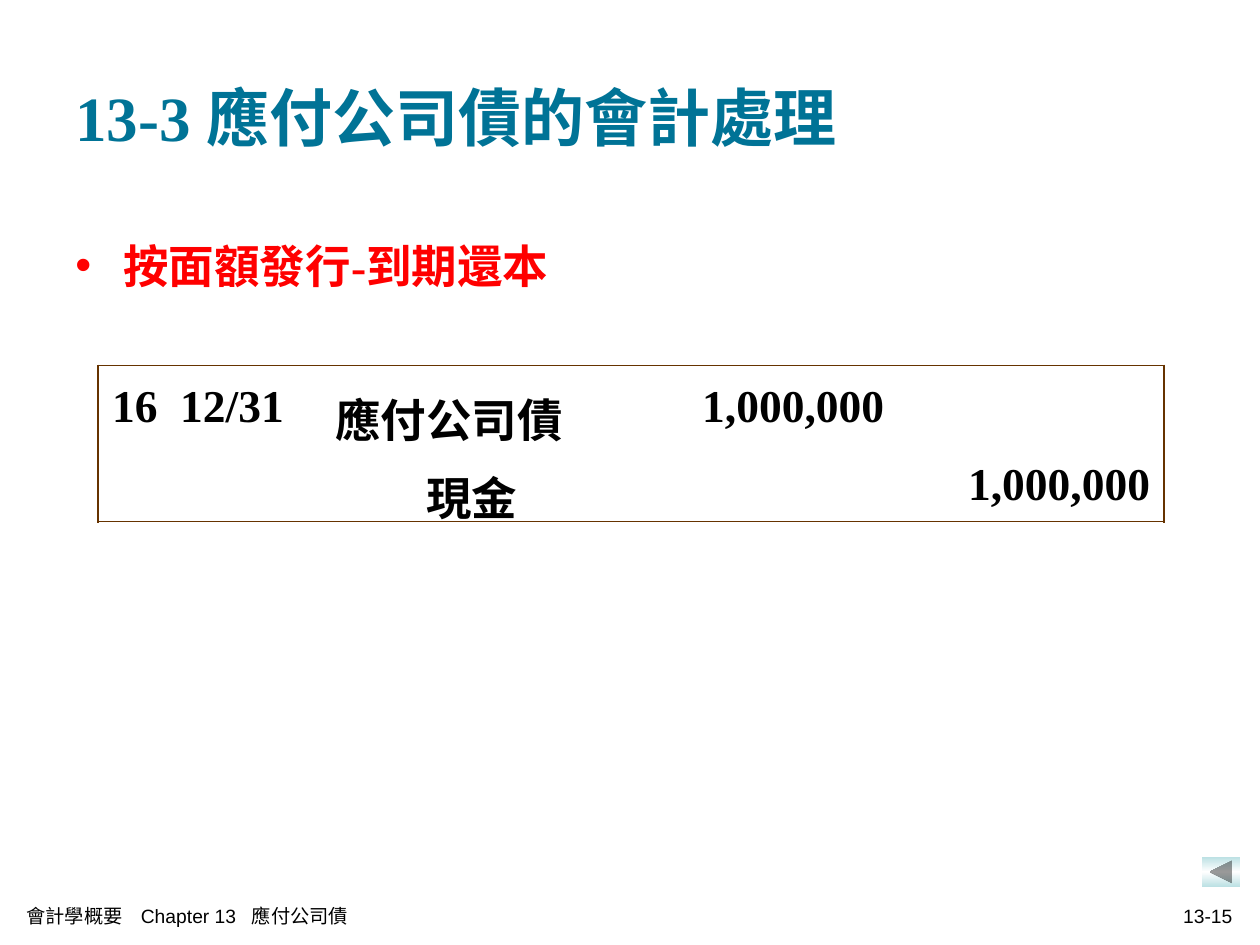
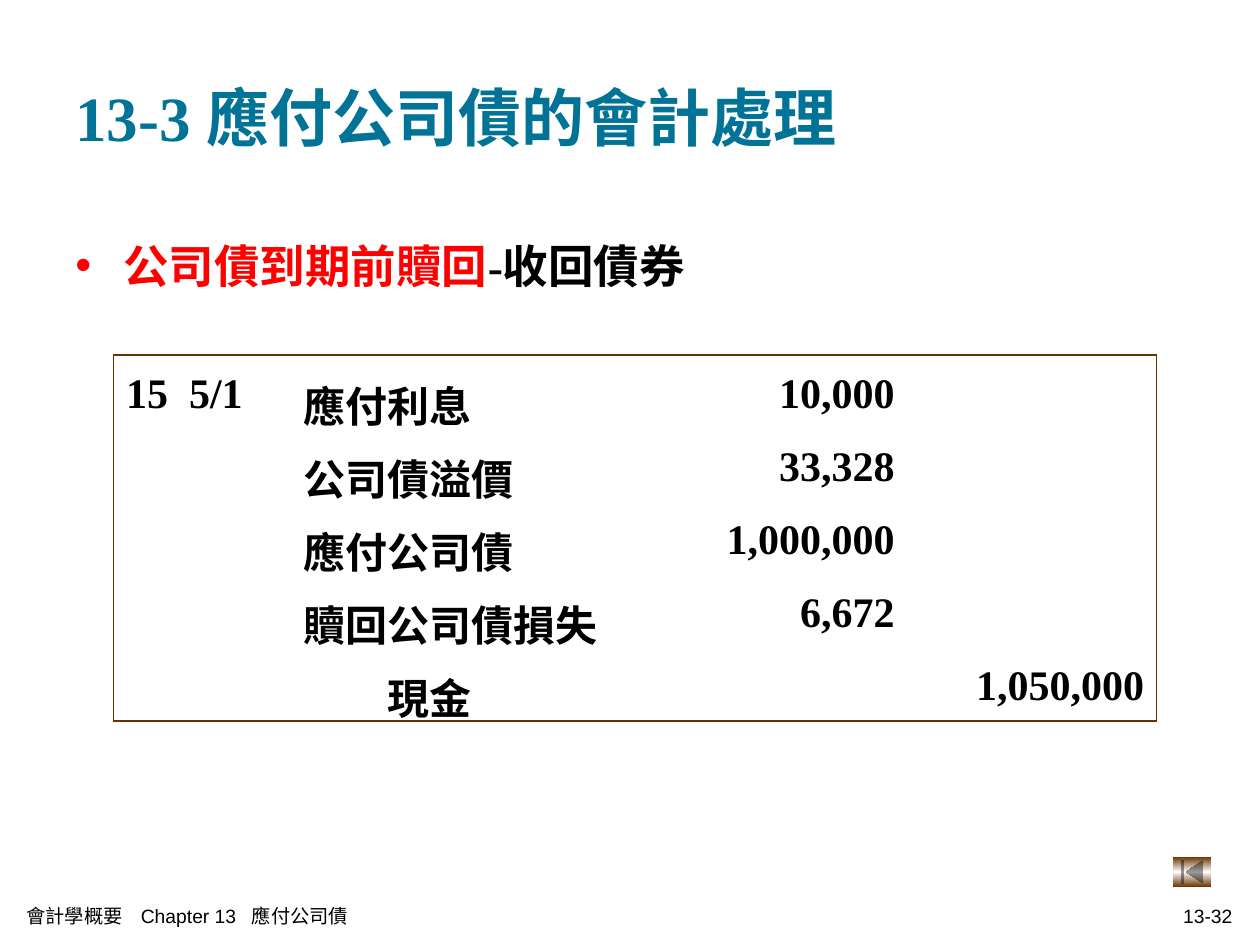
import copy

import pptx
import pptx.chart.data
import pptx.dml.color
import pptx.enum.shapes
import pptx.enum.text
import pptx.oxml
import pptx.oxml.ns
import pptx.util

Inches = pptx.util.Inches
Pt = pptx.util.Pt
RGBColor = pptx.dml.color.RGBColor
MSO_SHAPE = pptx.enum.shapes.MSO_SHAPE
PP_ALIGN = pptx.enum.text.PP_ALIGN
MSO_ANCHOR = pptx.enum.text.MSO_ANCHOR
qn = pptx.oxml.ns.qn

BLACK = RGBColor(0x00, 0x00, 0x00)
WHITE = RGBColor(0xFF, 0xFF, 0xFF)
RED = RGBColor(0xFF, 0x00, 0x00)
TEAL = RGBColor(0x00, 0x73, 0x96)
PALE_TEAL = RGBColor(0xBB, 0xE0, 0xE3)
BROWN = RGBColor(0x66, 0x33, 0x00)

SERIF = "Times New Roman"
SANS = "Arial"
PLAIN_TABLE_STYLE = "{2D5ABB26-0587-4C30-8999-92F81FD0307C}"
CHAPTER_TITLE = "13-3 應付公司債的會計處理"
CHAPTER_FOOTER = "會計學概要\tChapter 13\t應付公司債"


class ChapterDeck:
    """Holds the chapter style and the slide being built."""

    def __init__(self):
        self.presentation = pptx.Presentation()
        self.presentation.slide_width = Inches(10)
        self.presentation.slide_height = Inches(7.5)
        self.slide = None

    def start_slide(self, page):
        self.slide = self.presentation.slides.add_slide(self.presentation.slide_layouts[6])
        title = self.text_box(0.5, 0.3, 9, 1.25, MSO_ANCHOR.MIDDLE)
        title.text = CHAPTER_TITLE
        self.format_runs(title, 36, TEAL, SERIF, True)
        footer = self.text_box(0.11, 7.1, 5.1, 0.33, MSO_ANCHOR.MIDDLE)
        footer.text = CHAPTER_FOOTER
        self.set_tabs(footer, 0.91, 1.79)
        self.format_runs(footer, 11, BLACK, SANS)
        number = self.text_box(6.78, 7.1, 3.1, 0.33, MSO_ANCHOR.MIDDLE)
        number.text = page
        number.alignment = PP_ALIGN.RIGHT
        self.format_runs(number, 11, BLACK, SANS)

    def text_box(self, left, top, width, height, anchor=MSO_ANCHOR.TOP):
        box = self.slide.shapes.add_textbox(
            Inches(left), Inches(top), Inches(width), Inches(height)
        )
        box.text_frame.word_wrap = True
        box.text_frame.vertical_anchor = anchor
        return box.text_frame.paragraphs[0]

    def format_runs(self, paragraph, size, color, font, bold=False):
        for run in paragraph.runs:
            run.font.size = Pt(size)
            run.font.name = font
            run.font.bold = bold
            run.font.color.rgb = color

    def add_property(self, parent, tag, **attributes):
        element = pptx.oxml.parse_xml(f'<{tag} {pptx.oxml.ns.nsdecls("a")}/>')
        for key, value in attributes.items():
            element.set(key, str(value))
        parent.append(element)
        return element

    def set_tabs(self, paragraph, *stops):
        tabs = self.add_property(paragraph._p.get_or_add_pPr(), "a:tabLst")
        for stop in stops:
            self.add_property(tabs, "a:tab", pos=Inches(stop), algn="l")

    def heading(self, *parts):
        paragraph = self.text_box(0.5, 1.75, 9, 4.95)
        paragraph.line_spacing = 1.2
        properties = paragraph._p.get_or_add_pPr()
        properties.set("marL", str(Inches(0.38)))
        properties.set("indent", str(-Inches(0.38)))
        bullet_color = self.add_property(properties, "a:buClr")
        self.add_property(bullet_color, "a:srgbClr", val=RED)
        self.add_property(properties, "a:buFont", typeface=SANS)
        self.add_property(properties, "a:buChar", char="•")
        for wording, _ in parts:
            paragraph.add_run().text = wording
        self.format_runs(paragraph, 26, RED, SERIF, True)
        for run, (_, color) in zip(paragraph.runs, parts):
            run.font.color.rgb = color

    def journal_entry(self, left, top, widths, row_height, rows, size, date_tab, inset):
        frame = self.slide.shapes.add_table(
            len(rows), len(widths), Inches(left), Inches(top),
            Inches(sum(widths)), Inches(row_height * len(rows)),
        )
        journal = frame.table
        journal.first_row = journal.horz_banding = False
        journal._tbl.tblPr.find(qn("a:tableStyleId")).text = PLAIN_TABLE_STYLE
        for column, width in zip(journal.columns, widths):
            column.width = Inches(width)
        for row_index, entries in enumerate(rows):
            journal.rows[row_index].height = Inches(row_height)
            for column_index, entry in enumerate(entries):
                cell = journal.cell(row_index, column_index)
                cell.margin_left = cell.margin_right = Inches(inset)
                edges = {
                    "a:lnL": column_index == 0,
                    "a:lnR": column_index == len(widths) - 1,
                    "a:lnT": row_index == 0,
                    "a:lnB": row_index == len(rows) - 1,
                }
                self.outline(cell, edges)
                cell.fill.background()
                paragraph = cell.text_frame.paragraphs[0]
                paragraph.text = entry
                paragraph.line_spacing = 1.2
                if column_index == 0:
                    self.set_tabs(paragraph, date_tab)
                if column_index > 1:
                    paragraph.alignment = PP_ALIGN.RIGHT
                if column_index == 1 and entries[-1]:
                    paragraph._p.get_or_add_pPr().set("marL", str(Pt(2 * size)))
                self.format_runs(paragraph, size, BLACK, SERIF, True)

    def outline(self, cell, edges):
        properties = cell._tc.get_or_add_tcPr()
        for tag, drawn in edges.items():
            if drawn:
                line = self.add_property(properties, tag, w=Pt(1.08))
                fill = self.add_property(line, "a:solidFill")
                self.add_property(fill, "a:srgbClr", val=BROWN)

    def back_button(self, preset, left, edge_color):
        button = self.slide.shapes.add_shape(
            preset, Inches(left), Inches(6.8), Inches(0.3), Inches(0.24)
        )
        button.shadow.inherit = False
        button.line.fill.background()
        button.fill.gradient()
        button.fill.gradient_angle = 90
        stop_list = next(button._element.spPr.iter(qn("a:gsLst")))
        stop_list.insert(1, copy.deepcopy(stop_list[0]))
        colors = (edge_color, WHITE, edge_color)
        for index, (stop, color) in enumerate(zip(button.fill.gradient_stops, colors)):
            stop.position = index / 2
            stop.color.rgb = color


def main():
    deck = ChapterDeck()

    deck.start_slide("13-15")
    deck.heading(("按面額發行-到期還本", RED))
    deck.back_button(MSO_SHAPE.ACTION_BUTTON_BACK_OR_PREVIOUS, 9.54, PALE_TEAL)
    repayment = [
        ("16\t12/31", "應付公司債", "1,000,000", ""),
        ("", "現金", "", "1,000,000"),
    ]
    deck.journal_entry(0.78, 2.9, (1.77, 2.47, 2.11, 2.11), 0.62, repayment, 26, 0.54, 0.11)

    deck.start_slide("13-32")
    deck.heading(("公司債到期前贖回", RED), ("-收回債券", BLACK))
    deck.back_button(MSO_SHAPE.ACTION_BUTTON_BEGINNING, 9.31, BROWN)
    redemption = [
        ("15\t5/1", "應付利息", "10,000", ""),
        ("", "公司債溢價", "33,328", ""),
        ("", "應付公司債", "1,000,000", ""),
        ("", "贖回公司債損失", "6,672", ""),
        ("", "現金", "", "1,050,000"),
    ]
    deck.journal_entry(0.9, 2.82, (1.41, 2.94, 1.95, 1.98), 0.58, redemption, 24, 0.5, 0.1)

    deck.presentation.save("out.pptx")


if __name__ == "__main__":
    main()
